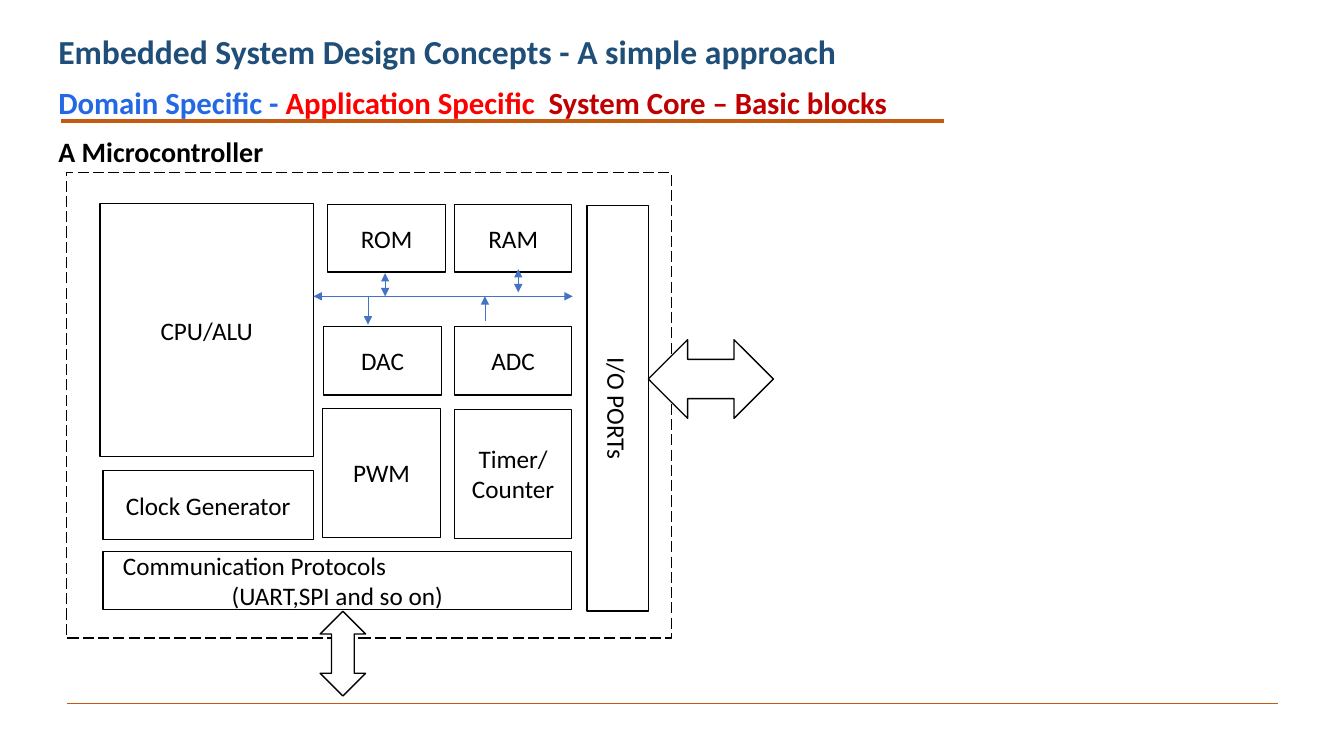
import pptx
import pptx.util
import pptx.dml.color
import pptx.enum.dml
import pptx.enum.shapes
import pptx.enum.text
import pptx.oxml.ns
from lxml import etree

Inches, Pt = pptx.util.Inches, pptx.util.Pt
SHAPE = pptx.enum.shapes.MSO_SHAPE
ALIGN = pptx.enum.text.PP_ALIGN
ANCHOR = pptx.enum.text.MSO_ANCHOR
FIT = pptx.enum.text.MSO_AUTO_SIZE
qn = pptx.oxml.ns.qn

FONT = "Calibri"
BLACK, WHITE, BLUE, RUST = "000000", "FFFFFF", "4472C4", "C55A11"

# place, size, grows with its text, runs of (text, colour)
HEADS = [
    ((0.48, 0.26, 8.2, 0.51), 24, True,
     [("Embedded System Design Concepts - A simple approach", "1F4E79")]),
    ((0.48, 0.83, 8.88, 0.36), 22, False,
     [("Domain Specific - ", "2469E4"), ("Application Specific  ", "FF0000"),
      ("System Core – Basic blocks", "C00000")]),
    ((0.48, 1.29, 5.55, 0.44), 20, True, [("A Microcontroller", BLACK)]),
]
CHIP = (0.66, 1.71, 6, 4.62)
BLOCKS = [
    ("CPU/ALU", (0.99, 2.02, 2.12, 2.51)),
    ("ROM", (3.25, 2.03, 1.17, 0.67)),
    ("RAM", (4.51, 2.03, 1.16, 0.67)),
    ("Clock Generator", (1.02, 4.67, 2.09, 0.68)),
    ("I/O PORTs", (5.82, 2.04, 0.61, 4.02)),
    ("ADC", (4.51, 3.24, 1.16, 0.68)),
    ("DAC", (3.21, 3.24, 1.17, 0.68)),
    ("Timer/ Counter", (4.51, 4.06, 1.16, 1.28)),
    ("PWM", (3.2, 4.05, 1.17, 1.28)),
    ("Communication Protocols\n(UART,SPI and so on)", (1.02, 5.47, 4.65, 0.58)),
]
# place, turn
ARROWS = [((6.43, 3.37, 1.24, 0.78), 0), ((2.98, 6.26, 0.84, 0.45), 90)]
# start, end, colour, width, arrowheads
BUS = 2.94
BOTH, END = ("headEnd", "tailEnd"), ("tailEnd",)
LINES = [
    ((0.61, 1.2), (9.36, 1.2), RUST, 3, ()),
    ((0.66, 6.98), (12.68, 6.98), RUST, 1, ()),
    ((3.11, BUS), (5.68, BUS), BLUE, 0.5, BOTH),
    ((3.82, 2.71), (3.82, BUS), BLUE, 0.5, BOTH),
    ((5.14, 2.67), (5.14, 2.9), BLUE, 0.5, BOTH),
    ((3.65, BUS), (3.65, 3.22), BLUE, 0.5, END),
    ((4.81, 3.18), (4.81, BUS), BLUE, 0.5, END),
]


def color(code):
    return pptx.dml.color.RGBColor.from_string(code)


def style(run, size, code, bold=False):
    run.font.name, run.font.size, run.font.bold = FONT, Pt(size), bold
    run.font.color.rgb = color(code)


def add_head(slide, place, size, grow, runs):
    frame = slide.shapes.add_textbox(*map(Inches, place)).text_frame
    frame.word_wrap = True
    if grow:
        frame.auto_size = FIT.SHAPE_TO_FIT_TEXT
    else:
        frame.vertical_anchor = ANCHOR.MIDDLE
        frame.margin_right = Inches(0.05)
    for text, code in runs:
        run = frame.paragraphs[0].add_run()
        run.text = text
        style(run, size, code, True)


def add_part(slide, kind, place):
    """Add a white shape with a thin black outline."""
    part = slide.shapes.add_shape(kind, *map(Inches, place))
    part.shadow.inherit = False
    part.fill.solid()
    part.fill.fore_color.rgb = color(WHITE)
    part.line.color.rgb = color(BLACK)
    part.line.width = Pt(1)
    return part


def add_block(slide, text, place):
    frame = add_part(slide, SHAPE.RECTANGLE, place).text_frame
    frame.word_wrap = True
    frame.vertical_anchor = ANCHOR.MIDDLE
    frame.text = text
    for para in frame.paragraphs:
        para.alignment = ALIGN.CENTER
        style(para.runs[0], 18, BLACK)
    return frame


def add_line(slide, start, end, code, width, heads):
    line = slide.shapes.add_connector(
        pptx.enum.shapes.MSO_CONNECTOR.STRAIGHT, *map(Inches, start + end))
    line.line.color.rgb = color(code)
    line.line.width = Pt(width)
    props = line._element.spPr
    for head in heads:
        etree.SubElement(props.find(qn("a:ln")), qn("a:" + head), type="triangle")
    etree.SubElement(props, qn("a:effectLst"))


def main():
    deck = pptx.Presentation()
    deck.slide_width, deck.slide_height = Inches(13.33), Inches(7.5)
    slide = deck.slides.add_slide(deck.slide_layouts[6])

    for head in HEADS:
        add_head(slide, *head)
    chip = add_part(slide, SHAPE.RECTANGLE, CHIP)
    chip.line.dash_style = pptx.enum.dml.MSO_LINE.LONG_DASH

    frames = {text: add_block(slide, text, place) for text, place in BLOCKS}
    frames["I/O PORTs"]._txBody.bodyPr.set("vert", "vert")
    first = frames[BLOCKS[-1][0]].paragraphs[0]
    first.alignment = ALIGN.LEFT
    first._p.get_or_add_pPr().set("marL", str(Inches(0.1)))

    for line in LINES:
        add_line(slide, *line)
    for place, turn in ARROWS:
        add_part(slide, SHAPE.LEFT_RIGHT_ARROW, place).rotation = turn
    deck.save("out.pptx")


if __name__ == "__main__":
    main()
